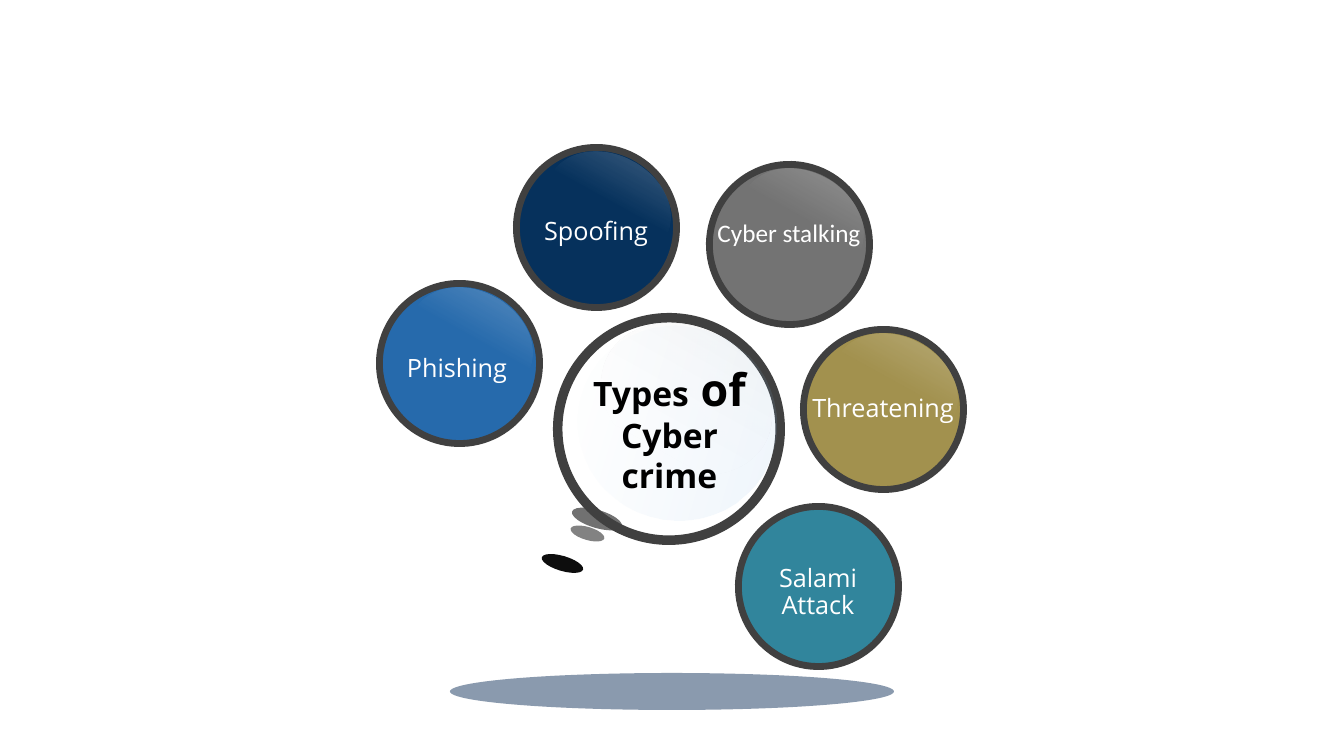
"""Build a slide with the types of cyber crime as glossy circles around a centre."""
from lxml import etree
from pptx import Presentation
from pptx import util as u
from pptx.dml.color import RGBColor
from pptx.enum import shapes, text
from pptx.oxml.ns import qn

SCALE = 914400 / 100.8
RING, DARK, WHITE, BLACK = 167, "404040", "FFFFFF", "000000"
TILT, GLOSS_TILT = 16.5, 29.2
GLOSS = [(0, WHITE, 32), (48, WHITE, 0)]

TAIL = [
    ((570, 527, 35, 13), "595959", 75),
    ((571, 510, 52, 18), "595959", 85),
    ((541, 556, 43, 15), "0D0D0D", 100),
]
CENTRE_RING = (553, 313, 232, 232)
CENTRE_GLOWS = [
    ((577, 326, 200, 194), TILT, [(0, "83B7E6", 14), (100, "A0C8EA", 0)], 180),
    ((597, 329, 179, 140), GLOSS_TILT, [(0, "D9D9D9", 38), (70, WHITE, 0)], 90),
]
CENTRE_TEXT = [("Types", 24), (" of ", 32), ("Cyber crime", 24)]
CRIMES = [
    ("Phishing", (376, 280), "266AAC", "Open Sans", (384, 350), True),
    ("Spoofing", (513, 144), "06315C", "Open Sans", (523, 213), True),
    ("Cyber stalking", (706, 161), "737373", "Calibri", (716, 213), True),
    ("Threatening", (800, 326), "A2914E", "Open Sans", (810, 390), True),
    ("Salami Attack", (735, 503), "31859C", "Open Sans", (745, 574), False),
]


def px(value):
    return u.Emu(round(value * SCALE))


def rgb(value):
    return RGBColor.from_string(value)


def add_alpha(colour, percent):
    etree.SubElement(colour, qn("a:alpha")).set("val", str(percent * 1000))


def add_round(slide, box, colour=None, alpha=100, tilt=0, kind=shapes.MSO_SHAPE.OVAL):
    shape = slide.shapes.add_shape(kind, *map(px, box))
    shape.shadow.inherit = False
    shape.line.fill.background()
    shape.rotation = tilt
    if colour:
        shape.fill.solid()
        shape.fill.fore_color.rgb = rgb(colour)
        if alpha < 100:
            add_alpha(shape.fill._xPr.find(".//" + qn("a:srgbClr")), alpha)
    return shape


def add_ring(slide, box):
    ring = add_round(slide, box, DARK, tilt=TILT, kind=shapes.MSO_SHAPE.DONUT)
    ring.adjustments[0] = 0.041


def add_glow(slide, box, tilt, stops, angle):
    shape = add_round(slide, box, tilt=tilt)
    shape.fill.gradient()
    gradient = shape.fill._xPr.find(qn("a:gradFill"))
    stop_list = gradient.find(qn("a:gsLst"))
    for old_stop in list(stop_list):
        stop_list.remove(old_stop)
    for position, colour, alpha in stops:
        stop = etree.SubElement(stop_list, qn("a:gs"), pos=str(position * 1000))
        add_alpha(etree.SubElement(stop, qn("a:srgbClr"), val=colour), alpha)
    gradient.find(qn("a:lin")).set("ang", str(angle * 60000))


def add_label(slide, box, runs, font, colour, bold=False, spacing=None):
    frame = slide.shapes.add_textbox(*map(px, box)).text_frame
    frame.word_wrap = True
    frame.auto_size = text.MSO_AUTO_SIZE.SHAPE_TO_FIT_TEXT
    frame.vertical_anchor = text.MSO_ANCHOR.MIDDLE
    frame.margin_left = frame.margin_right = 0
    paragraph = frame.paragraphs[0]
    paragraph.alignment = text.PP_ALIGN.CENTER
    paragraph.line_spacing = spacing
    for words, size in runs:
        run = paragraph.add_run()
        run.text = words
        run.font.name, run.font.size, run.font.bold = font, u.Pt(size), bold
        run.font.color.rgb = rgb(colour)


def main():
    presentation = Presentation()
    presentation.slide_width, presentation.slide_height = px(1344), px(756)
    slide = presentation.slides.add_slide(presentation.slide_layouts[6])

    for box, colour, alpha in TAIL:
        add_round(slide, box, colour, alpha, TILT)
    add_ring(slide, CENTRE_RING)
    for glow in CENTRE_GLOWS:
        add_glow(slide, *glow)

    for name, (left, top), colour, font, label, glossy in CRIMES:
        add_round(slide, (left + 1, top + 4, 163, 159), colour, tilt=TILT)
        add_ring(slide, (left, top, RING, RING))
        if glossy:
            add_glow(slide, (left + 31, top + 11, 129, 101), GLOSS_TILT, GLOSS, 90)
        spacing = 0.9 if font == "Open Sans" else None
        add_label(slide, (*label, 146, 38), [(name, 18)], font, WHITE, spacing=spacing)

    add_round(slide, (450, 673, 444, 37), "17375E", 50)
    add_label(slide, (587, 376, 165, 105), CENTRE_TEXT, "Open Sans", BLACK, bold=True)
    presentation.save("out.pptx")


if __name__ == "__main__":
    main()
